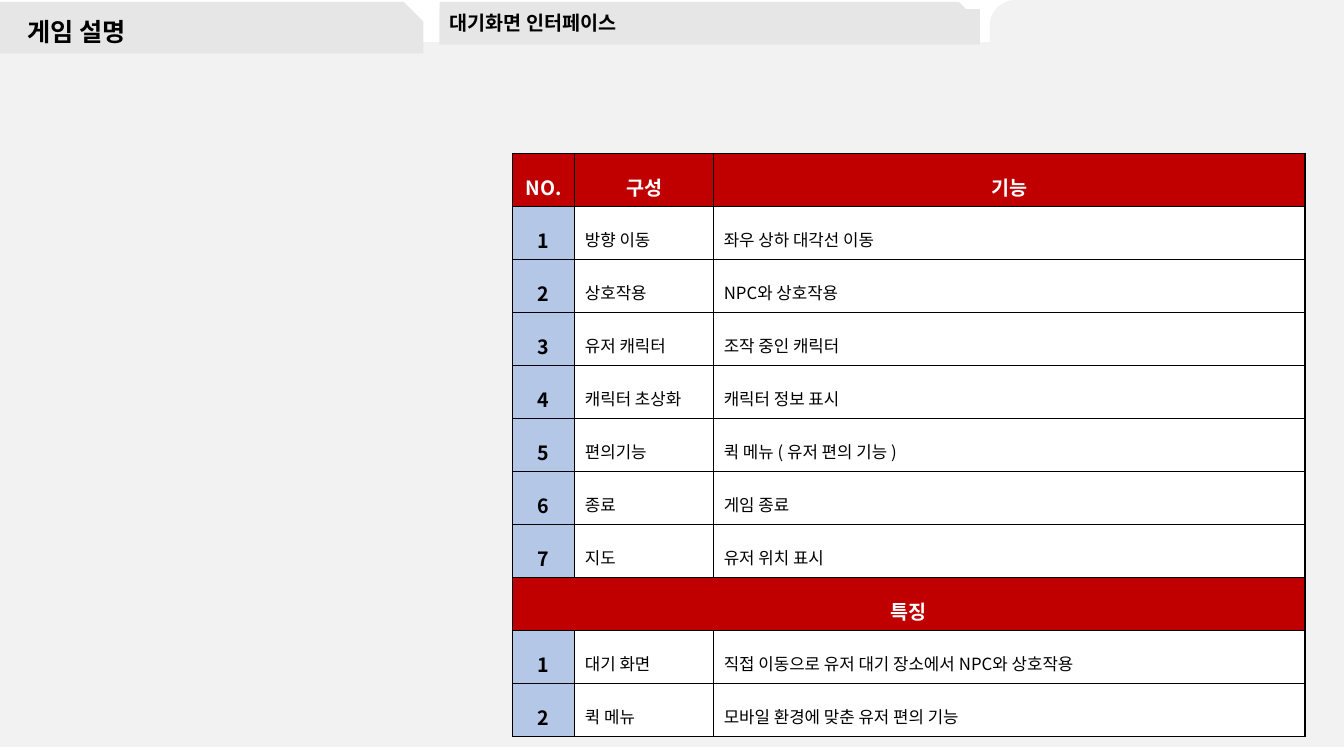
"""Build the lobby-screen interface slide of a game description deck."""
from lxml.etree import SubElement
from pptx import Presentation
from pptx.dml.color import RGBColor
from pptx.enum.shapes import MSO_SHAPE
from pptx.enum.text import MSO_ANCHOR, MSO_AUTO_SIZE, PP_ALIGN
from pptx.oxml.ns import qn
from pptx.util import Pt

TITLE = "게임 설명"
SUBTITLE = "대기화면 인터페이스"
HEADERS = ("NO.", "구성", "기능")
FUNCTIONS = [
    ("방향 이동", "좌우 상하 대각선 이동"),
    ("상호작용", "NPC와 상호작용"),
    ("유저 캐릭터", "조작 중인 캐릭터"),
    ("캐릭터 초상화", "캐릭터 정보 표시"),
    ("편의기능", "퀵 메뉴 ( 유저 편의 기능 )"),
    ("종료", "게임 종료"),
    ("지도", "유저 위치 표시"),
]
FEATURE_HEADER = "특징"
FEATURES = [
    ("대기 화면", "직접 이동으로 유저 대기 장소에서 NPC와 상호작용"),
    ("퀵 메뉴", "모바일 환경에 맞춘 유저 편의 기능"),
]

BLACK = RGBColor(0x00, 0x00, 0x00)
WHITE = RGBColor(0xFF, 0xFF, 0xFF)
PALE_GREY = RGBColor(0xF2, 0xF2, 0xF2)
TAB_GREY = RGBColor(0xE7, 0xE6, 0xE6)
RED = RGBColor(0xC0, 0x00, 0x00)
BLUE = RGBColor(0xB4, 0xC7, 0xE7)

HEADING_FONT = "Arial"
KOREAN_FONT = "Noto Sans CJK KR"
PANELS = [
    (MSO_SHAPE.FLOWCHART_PROCESS, (0, 30.2, 960, 503.3), PALE_GREY, None),
    (MSO_SHAPE.SNIP_1_RECTANGLE, (0, 1.4, 302.4, 36.7), TAB_GREY, 0.38),
    (MSO_SHAPE.ROUND_1_RECTANGLE, (707, 0, 253, 36.7), PALE_GREY, 0.5),
    (MSO_SHAPE.SNIP_1_RECTANGLE, (314, 1.4, 386, 30.2), TAB_GREY, 0.5),
]
TITLE_BOX = (12.2, 9.4, 290.2, 28.8)
SUBTITLE_BOX = (314, 6.5, 386, 25.2)
TABLE_LEFT, TABLE_TOP = 366.2, 109.4
COLUMN_WIDTHS = (44.4, 99.2, 422.4)
ROW_HEIGHT = 37.9


def add_panel(slide, kind, box, color, adjustment=None):
    panel = slide.shapes.add_shape(kind, *map(Pt, box))
    panel.shadow.inherit = False
    panel.fill.solid()
    panel.fill.fore_color.rgb = color
    panel.line.fill.background()
    if adjustment is not None:
        panel.adjustments[0] = adjustment
    return panel


def write(frame, text, font, size, color, bold, align, spacing):
    para = frame.paragraphs[0]
    span = para.add_run()
    span.text = text
    para.alignment = align
    para.line_spacing = spacing
    para.space_before = Pt(0)
    para.font.name = font
    para.font.size = Pt(size)
    para.font.bold = bold
    para.font.color.rgb = color
    span_properties = span._r.get_or_add_rPr()
    SubElement(span_properties, qn("a:ea")).set("typeface", KOREAN_FONT)


def write_heading(shape, text, size, anchor):
    frame = shape.text_frame
    frame.word_wrap = True
    frame.auto_size = MSO_AUTO_SIZE.NONE
    frame.vertical_anchor = anchor
    write(frame, text, HEADING_FONT, size, BLACK, True, PP_ALIGN.LEFT, 0.9)


def add_borders(cell):
    properties = cell._tc.get_or_add_tcPr()
    for position, side in enumerate(("lnL", "lnR", "lnT", "lnB")):
        line = SubElement(properties, qn(f"a:{side}"), w=str(Pt(1)))
        fill = SubElement(line, qn("a:solidFill"))
        SubElement(fill, qn("a:srgbClr"), val=str(BLACK))
        properties.insert(position, line)


def fill_cell(cell, text, fill, color, is_label):
    cell.fill.solid()
    cell.fill.fore_color.rgb = fill
    add_borders(cell)
    cell.vertical_anchor = MSO_ANCHOR.MIDDLE
    if text:
        size, align = (14, PP_ALIGN.CENTER) if is_label else (12, PP_ALIGN.LEFT)
        write(cell.text_frame, text, KOREAN_FONT, size, color, is_label, align, 1.5)


def numbered(entries):
    return [(str(number), *entry) for number, entry in enumerate(entries, 1)]


def add_interface_table(slide):
    rows = [HEADERS, *numbered(FUNCTIONS), (FEATURE_HEADER, "", ""), *numbered(FEATURES)]
    feature_row = len(FUNCTIONS) + 1
    frame = slide.shapes.add_table(
        len(rows), len(HEADERS), Pt(TABLE_LEFT), Pt(TABLE_TOP),
        Pt(sum(COLUMN_WIDTHS)), Pt(ROW_HEIGHT * len(rows)))
    table = frame.table
    table.first_row = table.horz_banding = False
    for column, width in zip(table.columns, COLUMN_WIDTHS):
        column.width = Pt(width)
    for row_index, entries in enumerate(rows):
        table.rows[row_index].height = Pt(ROW_HEIGHT)
        is_header = row_index in (0, feature_row)
        for column_index, text in enumerate(entries):
            is_number = column_index == 0
            fill = RED if is_header else BLUE if is_number else WHITE
            color = WHITE if is_header else BLACK
            fill_cell(table.cell(row_index, column_index), text, fill, color,
                      is_header or is_number)
    table.cell(feature_row, 0).merge(table.cell(feature_row, len(HEADERS) - 1))


def main():
    deck = Presentation()
    deck.slide_width, deck.slide_height = Pt(960), Pt(540)
    slide = deck.slides.add_slide(deck.slide_layouts[5])
    for kind, box, color, adjustment in PANELS:
        panel = add_panel(slide, kind, box, color, adjustment)
        if kind == MSO_SHAPE.ROUND_1_RECTANGLE:
            panel._element.spPr.find(qn("a:xfrm")).set("flipH", "1")

    title = slide.shapes.title
    title.left, title.top, title.width, title.height = map(Pt, TITLE_BOX)
    slide.shapes._spTree.append(title._element)
    write_heading(title, TITLE, 18, MSO_ANCHOR.MIDDLE)

    subtitle = add_panel(slide, MSO_SHAPE.RECTANGLE, SUBTITLE_BOX, TAB_GREY)
    write_heading(subtitle, SUBTITLE, 14, MSO_ANCHOR.TOP)
    add_interface_table(slide)
    deck.save("out.pptx")


if __name__ == "__main__":
    main()
